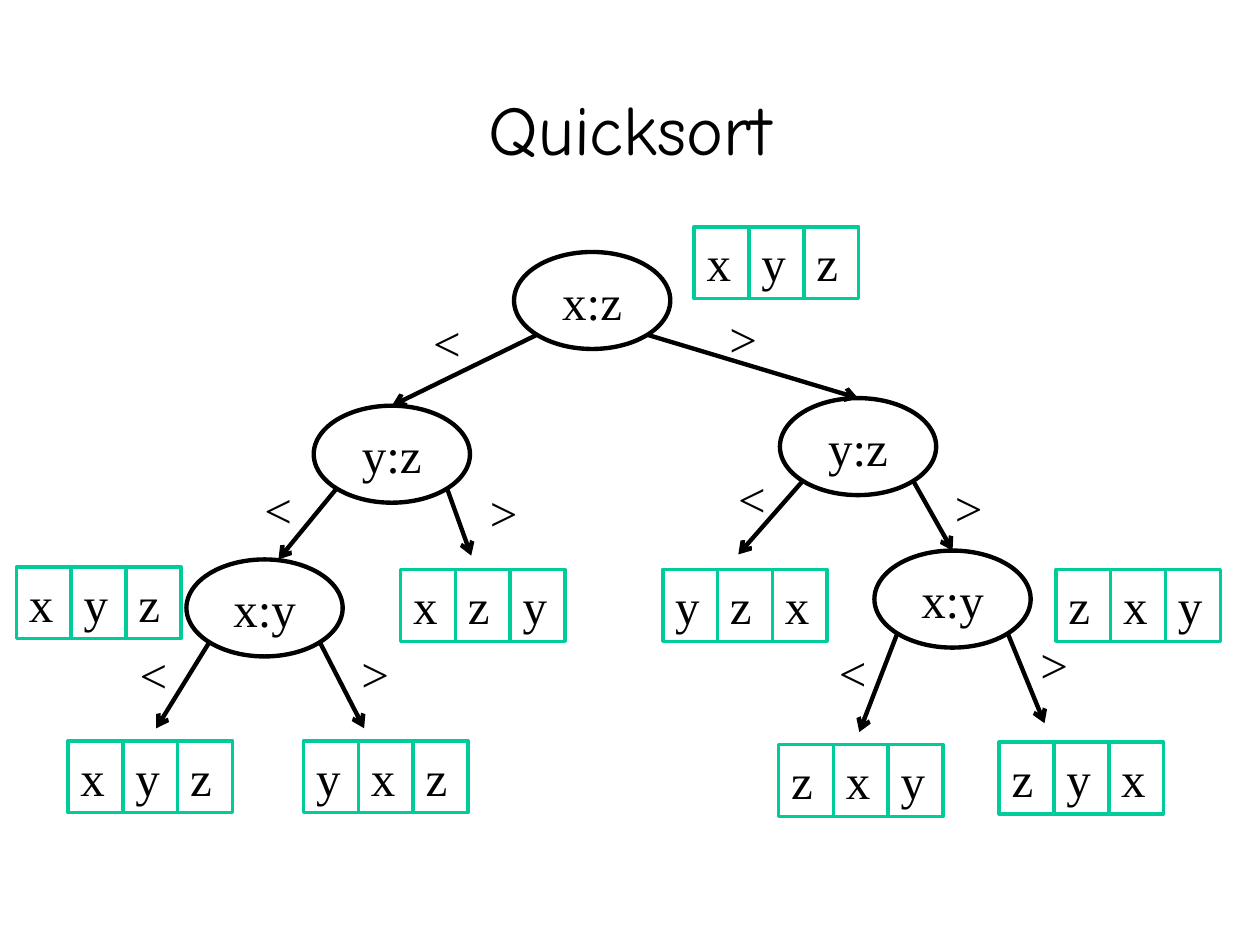
import dataclasses

import pptx
import pptx.dml.color
import pptx.enum.shapes
import pptx.enum.text
import pptx.oxml.ns
import pptx.util
from lxml import etree

SHAPE = pptx.enum.shapes.MSO_SHAPE
ALIGN = pptx.enum.text.PP_ALIGN
ANCHOR = pptx.enum.text.MSO_ANCHOR
FIT = pptx.enum.text.MSO_AUTO_SIZE
qn = pptx.oxml.ns.qn

# All lengths are in columns and rows of a 100 by 75 grid.
COLS, ROWS = 100, 75
NODE_W, NODE_H = 12.4, 7.7
CELL_W, CELL_H, CELL_PITCH = 4.35, 5.7, 4.35
LABEL = 5.7
DIAGONAL = 0.5 ** 0.5


@dataclasses.dataclass(frozen=True)
class Theme:
    ink: str = "000000"
    cell: str = "00CC99"
    title_font: str = "Comic Neue"
    body_font: str = "Times New Roman"
    title_size: float = 40
    body_size: float = 28
    node_line: float = 2.5
    cell_line: float = 2


def rgb(value):
    return pptx.dml.color.RGBColor.from_string(value)


def put_text(tf, text, *, font, size, color, align=ALIGN.LEFT,
             anchor=ANCHOR.TOP, inset=None, fit=FIT.NONE):
    tf.word_wrap = True
    tf.auto_size = fit
    tf.vertical_anchor = anchor
    if inset is not None:
        tf.margin_left = tf.margin_right = inset
        tf.margin_top = tf.margin_bottom = inset
    p = tf.paragraphs[0]
    p.alignment = align
    r = p.add_run()
    r.text = text
    r.font.name, r.font.size = font, pptx.util.Pt(size)
    r.font.color.rgb = rgb(color)


class TreeSlide:
    def __init__(self, prs, theme):
        self.theme = theme
        self.unit_x, self.unit_y = prs.slide_width / COLS, prs.slide_height / ROWS
        self.slide = prs.slides.add_slide(prs.slide_layouts[5])
        self.body = dict(font=theme.body_font, size=theme.body_size, color=theme.ink)

    def point(self, x, y):
        return round(x * self.unit_x), round(y * self.unit_y)

    def box(self, x, y, w, h):
        return *self.point(x, y), *self.point(w, h)

    def title(self, text, *box):
        sp = self.slide.shapes.title
        sp.left, sp.top, sp.width, sp.height = self.box(*box)
        put_text(sp.text_frame, text, font=self.theme.title_font,
                 size=self.theme.title_size, color=self.theme.ink,
                 align=ALIGN.CENTER, anchor=ANCHOR.MIDDLE)

    def outline(self, shapes, kind, box, color, width):
        sp = shapes.add_shape(kind, *self.box(*box))
        sp.shadow.inherit = False
        sp.fill.background()
        sp.line.color.rgb = rgb(color)
        sp.line.width = pptx.util.Pt(width)
        return sp

    def node(self, text, x, y):
        sp = self.outline(self.slide.shapes, SHAPE.OVAL, (x, y, NODE_W, NODE_H),
                          self.theme.ink, self.theme.node_line)
        put_text(sp.text_frame, text, align=ALIGN.CENTER,
                 anchor=ANCHOR.MIDDLE, inset=0, **self.body)
        return sp

    def array(self, letters, x, y):
        """Draw a row of cells, one letter in each."""
        group = self.slide.shapes.add_group_shape()
        for i, letter in enumerate(letters):
            sp = self.outline(group.shapes, SHAPE.RECTANGLE,
                              (x + i * CELL_PITCH, y, CELL_W, CELL_H),
                              self.theme.cell, self.theme.cell_line)
            put_text(sp.text_frame, letter, fit=FIT.SHAPE_TO_FIT_TEXT, **self.body)

    def label(self, text, x, y):
        sp = self.slide.shapes.add_textbox(*self.box(x, y, LABEL, LABEL))
        put_text(sp.text_frame, text, fit=FIT.SHAPE_TO_FIT_TEXT, **self.body)

    def branch(self, parent, sign, target):
        """Draw an arrow from a lower corner of parent to a node or a grid point."""
        side = -1 if sign == "<" else 1
        start = (round(parent.left + parent.width * (1 + side * DIAGONAL) / 2),
                 round(parent.top + parent.height * (1 + DIAGONAL) / 2))
        to_point = isinstance(target, tuple)
        end = self.point(*target) if to_point else start
        line = self.slide.shapes.add_connector(
            pptx.enum.shapes.MSO_CONNECTOR.STRAIGHT, *start, *end)
        if not to_point:
            line.end_connect(target, 0)
        line.line.color.rgb = rgb(self.theme.ink)
        line.line.width = pptx.util.Pt(self.theme.node_line)
        etree.SubElement(line.line._get_or_add_ln(), qn("a:tailEnd"), type="arrow")
        etree.SubElement(line._element.spPr, qn("a:effectLst"))


NODES = {
    "root": ("x:z", 40.8, 20),
    "left": ("y:z", 24.9, 32.2),
    "right": ("y:z", 61.9, 31.6),
    "far left": ("x:y", 14.8, 44.4),
    "far right": ("x:y", 69.4, 43.7),
}
# Parent, sign, target (node name or point), place of the sign
BRANCHES = [
    ("root", "<", "left", (33.4, 24.3)),
    ("root", ">", "right", (56.9, 24)),
    ("left", "<", (22.1, 44.4), (20, 37.6)),
    ("left", ">", (37.4, 44.1), (37.9, 37.8)),
    ("right", "<", (58.6, 44), (57.6, 36.7)),
    ("right", ">", "far right", (74.8, 37.4)),
    ("far left", "<", (12.4, 57.8), (10.1, 50.7)),
    ("far left", ">", (28.9, 57.8), (27.7, 50.6)),
    ("far right", "<", (68.2, 58.1), (65.6, 50.5)),
    ("far right", ">", (82.9, 57.4), (81.6, 49.9)),
]
ARRAYS = [
    ("xyz", 55.1, 18),
    ("xyz", 1.3, 45),
    ("xyz", 5.4, 58.8),
    ("yxz", 24.1, 58.8),
    ("xzy", 31.8, 45.2),
    ("yzx", 52.6, 45.2),
    ("zxy", 83.8, 45.2),
    ("zxy", 61.8, 59.1),
    ("zyx", 79.3, 58.9),
]


def main():
    prs = pptx.Presentation()
    prs.slide_width, prs.slide_height = pptx.util.Inches(10), pptx.util.Inches(7.5)
    s = TreeSlide(prs, Theme())
    s.title("Quicksort", 7.5, 3.9, 85, 12.5)
    nodes = {name: s.node(*node) for name, node in NODES.items()}
    for parent, sign, target, place in BRANCHES:
        s.branch(nodes[parent], sign, nodes.get(target, target))
        s.label(sign, *place)
    for array in ARRAYS:
        s.array(*array)
    prs.save("out.pptx")


if __name__ == "__main__":
    main()
